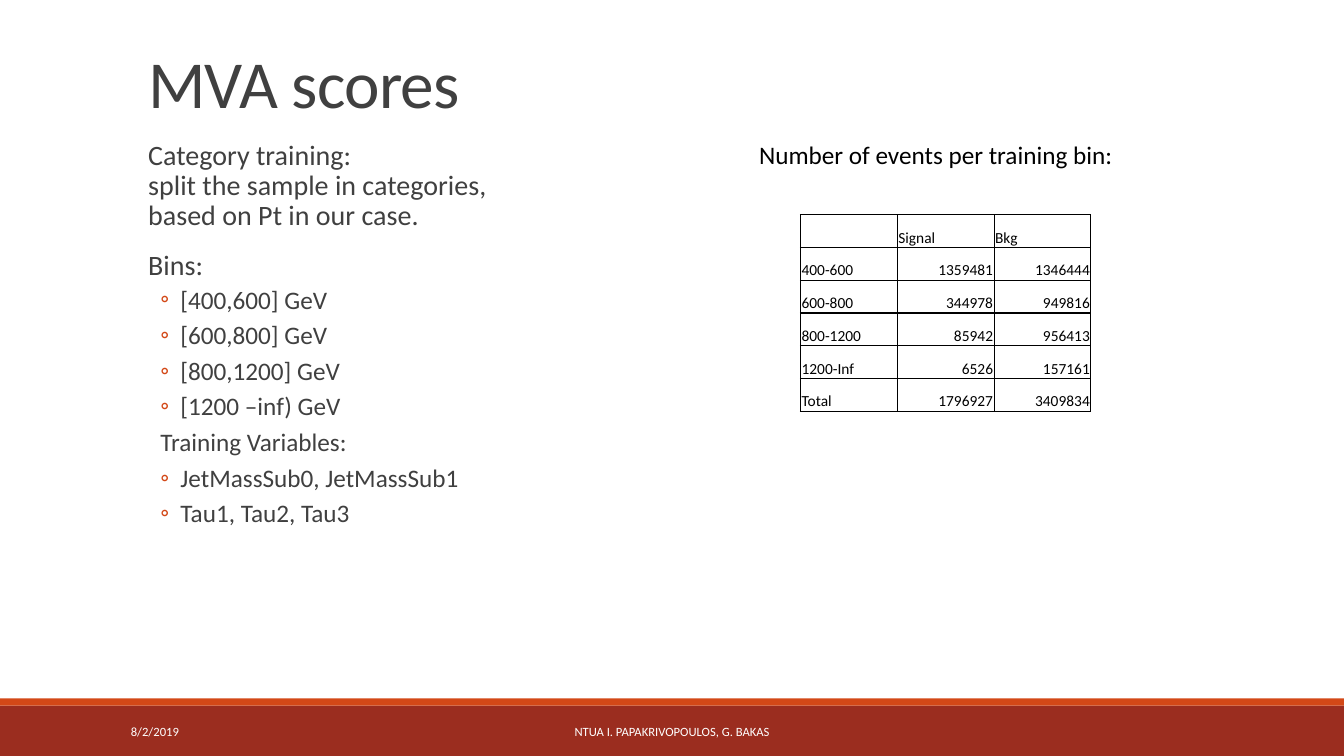
from dataclasses import dataclass
from typing import Optional

import pptx
import pptx.dml.color
import pptx.enum.shapes
import pptx.enum.text
import pptx.oxml
import pptx.oxml.ns
import pptx.util
from pptx.util import Inches

ALIGN = pptx.enum.text.PP_ALIGN
ANCHOR = pptx.enum.text.MSO_ANCHOR
FONT = "Calibri"
DARK_GREY, BLACK, WHITE = "404040", "000000", "FFFFFF"
ORANGE, RED = "D34817", "9B2D1F"


@dataclass
class Band:
    top: float
    height: float
    color: str


@dataclass
class Label:
    text: str
    left: float
    top: float
    width: float
    height: float
    size: float
    color: str
    align: ALIGN = ALIGN.LEFT
    anchor: ANCHOR = ANCHOR.TOP
    line_spacing: float = 1.0
    tracking: Optional[int] = None


@dataclass
class OutlineStyle:
    size: float
    margin: float
    hanging: float
    before: float
    after: float
    bullet: Optional[str] = None


HEADING = OutlineStyle(20, 0.1, 0, 12, 2)
ITEM = OutlineStyle(18, 0.42, 0.2, 2, 4, "◦")
SUBHEADING = OutlineStyle(18, 0.22, 0, 2, 4)

BANDS = [Band(7, 0.5, RED), Band(6.93, 0.07, ORANGE)]
LABELS = [
    Label("8/2/2019", 1.2, 7.06, 2.7, 0.4, 9, WHITE, anchor=ANCHOR.MIDDLE),
    Label("NTUA I. PAPAKRIVOPOULOS, G. BAKAS", 4.03, 7.06, 5.27, 0.4, 9, WHITE,
          ALIGN.CENTER, ANCHOR.MIDDLE),
    Label("MVA scores", 1.37, 0.31, 11.5, 0.95, 48, DARK_GREY,
          anchor=ANCHOR.BOTTOM, line_spacing=0.85, tracking=-50),
    Label("Number of events per training bin:", 7.43, 1.33, 3.75, 0.71, 18, BLACK),
]
OUTLINE = [
    ("Category training: \nsplit the sample in categories, \nbased on Pt in our case.", HEADING),
    ("Bins:", HEADING),
    ("[400,600] GeV", ITEM),
    ("[600,800] GeV", ITEM),
    ("[800,1200] GeV", ITEM),
    ("[1200 –inf) GeV", ITEM),
    ("Training Variables:", SUBHEADING),
    ("JetMassSub0, JetMassSub1", ITEM),
    ("Tau1, Tau2, Tau3", ITEM),
]
EVENTS = [
    ("", "Signal", "Bkg"),
    ("400-600", "1359481", "1346444"),
    ("600-800", "344978", "949816"),
    ("800-1200", "85942", "956413"),
    ("1200-Inf", "6526", "157161"),
    ("Total", "1796927", "3409834"),
]


def rgb(color: str) -> pptx.dml.color.RGBColor:
    return pptx.dml.color.RGBColor.from_string(color)


def set_font(paragraph, size: float, color: str) -> None:
    paragraph.font.name = FONT
    paragraph.font.size = pptx.util.Pt(size)
    paragraph.font.color.rgb = rgb(color)


def add_band(slide, band: Band, width: int) -> None:
    shape = slide.shapes.add_shape(pptx.enum.shapes.MSO_SHAPE.RECTANGLE, 0,
                                   Inches(band.top), width, Inches(band.height))
    shape.shadow.inherit = False
    shape.fill.solid()
    shape.fill.fore_color.rgb = rgb(band.color)
    shape.line.fill.background()


def add_label(slide, label: Label) -> None:
    shape = slide.shapes.add_textbox(Inches(label.left), Inches(label.top),
                                     Inches(label.width), Inches(label.height))
    frame = shape.text_frame
    frame.word_wrap = True
    frame.vertical_anchor = label.anchor
    paragraph = frame.paragraphs[0]
    paragraph.text = label.text
    paragraph.alignment = label.align
    paragraph.line_spacing = label.line_spacing
    set_font(paragraph, label.size, label.color)
    if label.tracking is not None:
        paragraph.runs[0]._r.get_or_add_rPr().set("spc", str(label.tracking))


def set_bullet(paragraph, style: OutlineStyle) -> None:
    """Set the indents and, where the style has one, the orange bullet."""
    properties = paragraph._p.get_or_add_pPr()
    properties.set("marL", str(Inches(style.margin)))
    properties.set("indent", str(-Inches(style.hanging)))
    if style.bullet:
        namespace = pptx.oxml.ns.nsdecls("a")
        for xml in (f'<a:buClr {namespace}><a:srgbClr val="{ORANGE}"/></a:buClr>',
                    f'<a:buFont {namespace} typeface="{FONT}"/>',
                    f'<a:buChar {namespace} char="{style.bullet}"/>'):
            properties.append(pptx.oxml.parse_xml(xml))


def add_outline(slide) -> None:
    shape = slide.shapes.add_textbox(Inches(1.37), Inches(1.35), Inches(11), Inches(4.85))
    frame = shape.text_frame
    frame.word_wrap = True
    frame.margin_left = frame.margin_right = 0
    for index, (text, style) in enumerate(OUTLINE):
        paragraph = frame.add_paragraph() if index else frame.paragraphs[0]
        paragraph.text = text
        set_bullet(paragraph, style)
        paragraph.line_spacing = 0.9
        paragraph.space_before = pptx.util.Pt(style.before if index else 0)
        paragraph.space_after = pptx.util.Pt(style.after)
        set_font(paragraph, style.size, DARK_GREY)


def set_borders(cell) -> None:
    properties = cell._tc.get_or_add_tcPr()
    for side in ("lnL", "lnR", "lnT", "lnB"):
        properties.append(pptx.oxml.parse_xml(
            f'<a:{side} {pptx.oxml.ns.nsdecls("a")} w="{pptx.util.Pt(1)}">'
            f'<a:solidFill><a:srgbClr val="{BLACK}"/></a:solidFill></a:{side}>'))


def add_events_table(slide) -> None:
    table = slide.shapes.add_table(len(EVENTS), len(EVENTS[0]), Inches(7.94), Inches(2.13),
                                   Inches(2.88), Inches(1.95)).table
    table.first_row = table.horz_banding = False
    for row, values in enumerate(EVENTS):
        for column, value in enumerate(values):
            cell = table.cell(row, column)
            set_borders(cell)
            cell.fill.solid()
            cell.fill.fore_color.rgb = rgb(WHITE)
            cell.vertical_anchor = ANCHOR.BOTTOM
            cell.margin_left = cell.margin_right = cell.margin_top = Inches(0.01)
            cell.margin_bottom = 0
            paragraph = cell.text_frame.paragraphs[0]
            paragraph.text = value
            paragraph.alignment = ALIGN.RIGHT if row and column else ALIGN.LEFT
            set_font(paragraph, 11, BLACK)


def main() -> None:
    presentation = pptx.Presentation()
    presentation.slide_width = Inches(13.33)
    presentation.slide_height = Inches(7.5)
    slide = presentation.slides.add_slide(presentation.slide_layouts[6])
    for band in BANDS:
        add_band(slide, band, presentation.slide_width)
    for label in LABELS:
        add_label(slide, label)
    add_outline(slide)
    add_events_table(slide)
    presentation.save("out.pptx")


if __name__ == "__main__":
    main()
